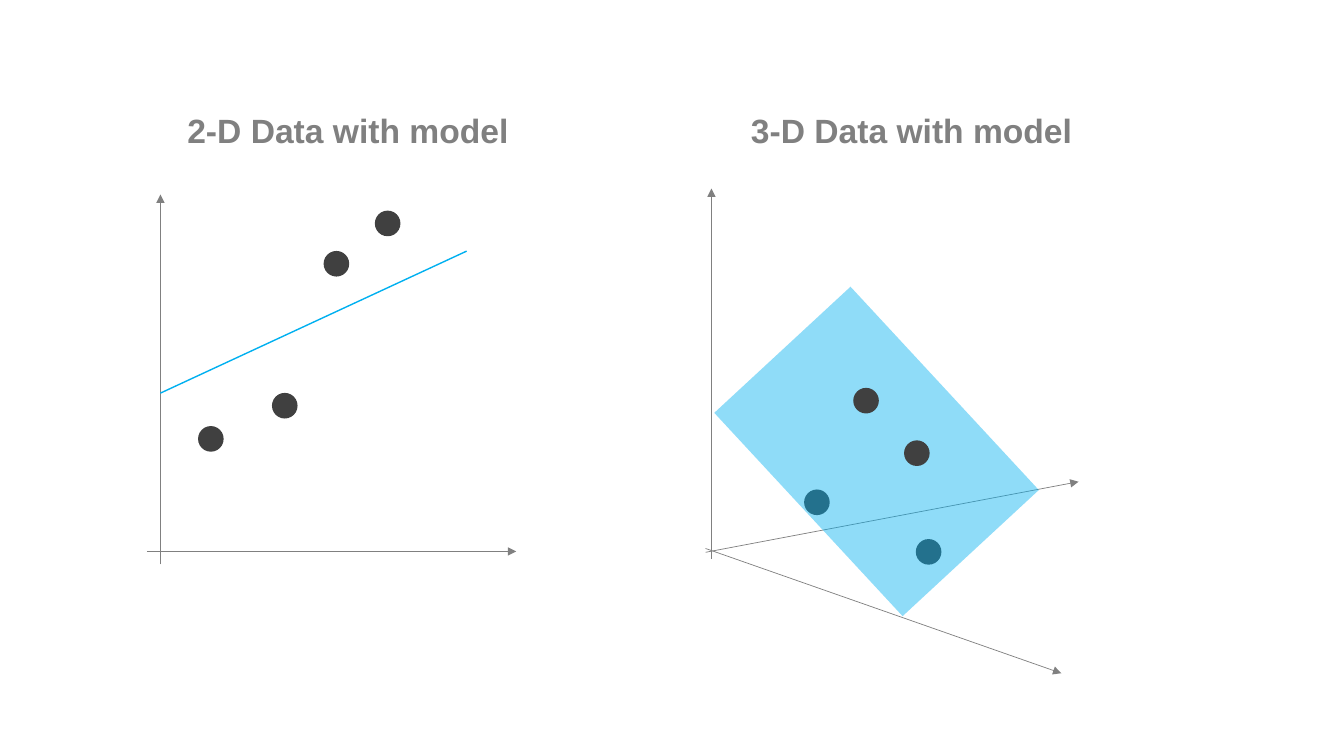
from lxml.etree import SubElement
from pptx import Presentation
from pptx.dml.color import RGBColor
from pptx.enum.shapes import MSO_CONNECTOR, MSO_SHAPE
from pptx.enum.text import MSO_ANCHOR, MSO_AUTO_SIZE, PP_ALIGN
from pptx.oxml.ns import qn
from pptx.util import Inches, Pt

COLORS = {"grey": "808080", "dot": "404040", "model": "00B0F0"}
FONT = "Arial"
COLS, ROWS = 32, 18
DOT = 0.61  # diameter in grid cells

# All positions are (column, row) on the grid.
AXES_2D = [((3.5, 13.13), (12.29, 13.13)), ((3.82, 13.44), (3.82, 4.63))]
MODEL_LINE = ((3.82, 9.36), (11.11, 5.98))
DOTS_2D = [(5.02, 10.45), (6.78, 9.66), (8.01, 6.28), (9.23, 5.32)]

AXES_3D = [
    ((16.8, 13.06), (25.27, 16.03)),
    ((16.94, 13.3), (16.94, 4.49)),
    ((16.8, 13.15), (25.68, 11.47)),
]
DOTS_BEHIND = [(22.11, 13.14), (19.45, 11.96)]
DOTS_IN_FRONT = [(21.83, 10.79), (20.62, 9.54)]
PLANE_CENTER, PLANE_SIZE, PLANE_ANGLE = (20.87, 10.75), (6.6, 4.42), 47.2

HEADINGS = {
    1: ("2-D Data with model", 4.22),
    3: ("3-D Data with model", 17.64),
}


class Sketch:
    def __init__(self, prs, slide):
        self.slide = slide
        self.cell_w = prs.slide_width / COLS
        self.cell_h = prs.slide_height / ROWS

    def emu(self, col, row):
        """Turn grid columns and rows into slide lengths."""
        return round(col * self.cell_w), round(row * self.cell_h)

    def color(self, name):
        return RGBColor.from_string(COLORS[name])

    def heading(self, idx, text, col):
        sp = self.slide.placeholders[idx]
        sp.left, sp.top = self.emu(col, 2.5)
        sp.width, sp.height = self.emu(8.21, 1.21)
        tf = sp.text_frame
        tf.text = text
        tf.word_wrap = False
        tf.auto_size = MSO_AUTO_SIZE.SHAPE_TO_FIT_TEXT
        tf.vertical_anchor = MSO_ANCHOR.TOP
        p = tf.paragraphs[0]
        p.alignment = PP_ALIGN.LEFT
        p.space_before = Pt(0)
        font = p.runs[0].font
        font.name, font.size, font.bold = FONT, Pt(24), True
        font.color.rgb = self.color("grey")

    def line(self, start, end, color, width):
        line = self.slide.shapes.add_connector(
            MSO_CONNECTOR.STRAIGHT, *self.emu(*start), *self.emu(*end))
        line.line.color.rgb = self.color(color)
        line.line.width = Pt(width)
        SubElement(line._element.spPr, qn("a:effectLst"))
        return line

    def axis(self, start, end):
        ln = self.line(start, end, "grey", 0.5).line._get_or_add_ln()
        SubElement(ln, qn("a:tailEnd"), type="triangle")

    def shape(self, kind, center, size, color):
        (x, y), (w, h) = center, size
        sp = self.slide.shapes.add_shape(
            kind, *self.emu(x - w / 2, y - h / 2), *self.emu(w, h))
        sp.shadow.inherit = False
        sp.fill.solid()
        sp.fill.fore_color.rgb = self.color(color)
        sp.line.fill.background()
        return sp

    def dots(self, centers):
        for center in centers:
            self.shape(MSO_SHAPE.OVAL, center, (DOT, DOT), "dot")

    def plane(self, center, size, angle, opacity):
        sp = self.shape(MSO_SHAPE.RECTANGLE, center, size, "model")
        sp.rotation = angle
        rgb = sp._element.spPr.find(qn("a:solidFill")).find(qn("a:srgbClr"))
        SubElement(rgb, qn("a:alpha"), val=str(opacity * 1000))


def main():
    prs = Presentation()
    prs.slide_width, prs.slide_height = Inches(13.33), Inches(7.5)
    slide = prs.slides.add_slide(prs.slide_layouts.get_by_name("Comparison"))
    for ph in list(slide.placeholders):
        if ph.placeholder_format.idx not in HEADINGS:
            ph._element.getparent().remove(ph._element)

    sketch = Sketch(prs, slide)
    for idx, (text, col) in HEADINGS.items():
        sketch.heading(idx, text, col)

    for start, end in AXES_2D:
        sketch.axis(start, end)
    sketch.line(*MODEL_LINE, "model", 1)
    sketch.dots(DOTS_2D)

    sketch.dots(DOTS_BEHIND)
    for start, end in AXES_3D:
        sketch.axis(start, end)
    sketch.plane(PLANE_CENTER, PLANE_SIZE, PLANE_ANGLE, 44)
    sketch.dots(DOTS_IN_FRONT)

    prs.save("out.pptx")


if __name__ == "__main__":
    main()
